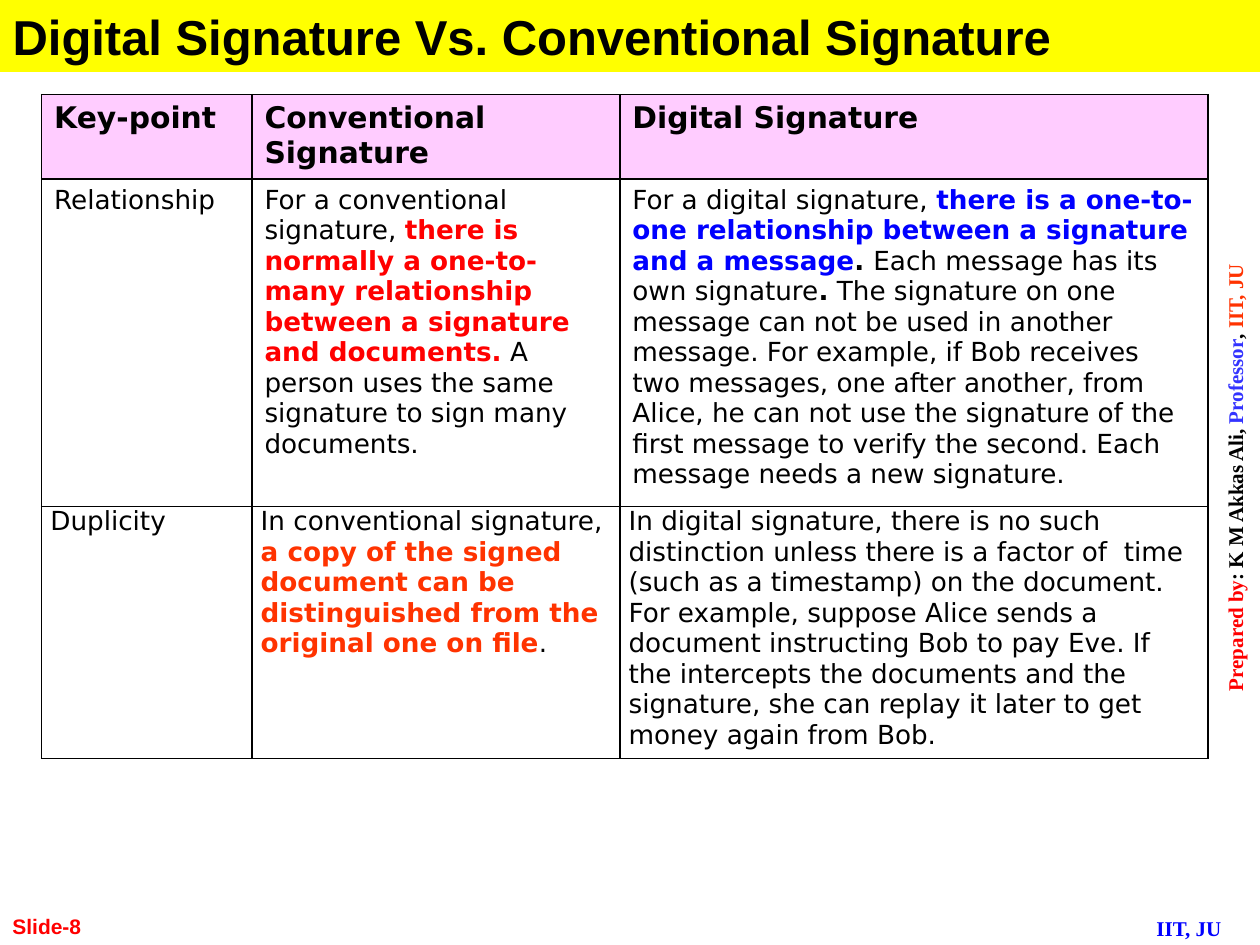
from pptx import Presentation
from pptx.dml.color import RGBColor
from pptx.enum.text import MSO_ANCHOR, MSO_AUTO_SIZE, PP_ALIGN
from pptx.oxml import parse_xml
from pptx.oxml.ns import nsdecls
from pptx.util import Inches, Pt

LEFT, CENTER = PP_ALIGN.LEFT, PP_ALIGN.CENTER
TOP, MIDDLE, BOTTOM = MSO_ANCHOR.TOP, MSO_ANCHOR.MIDDLE, MSO_ANCHOR.BOTTOM
NO_AUTOFIT = MSO_AUTO_SIZE.NONE

SANS, SERIF, TABLE_FONT = "Arial", "Times New Roman", "DejaVu Sans"
BLACK, RED, BLUE, ORANGE = "000000", "FF0000", "0000FF", "FF3300"
YELLOW, PINK, VIOLET = "FFFF00", "FFCCFF", "3333FF"

COL_WIDTHS = [1.67, 2.92, 4.67]
ROW_HEIGHTS = [0.67, 2.6, 2]
ROW_MARGINS = [(0.1, 0.05), (0.1, 0.05), (0.07, 0)]

HEADER = ["Key-point", "Conventional Signature", "Digital Signature"]
BODY = [
    [
        [("Relationship", BLACK, False)],
        [
            ("For a conventional signature, ", BLACK, False),
            ("there is normally a one-to-many relationship between a signature "
             "and documents.", RED, True),
            (" A person uses the same signature to sign many documents.", BLACK, False),
        ],
        [
            ("For a digital signature, ", BLACK, False),
            ("there is a one-to-one relationship between a signature and a message",
             BLUE, True),
            (". ", BLACK, True),
            ("Each message has its own signature", BLACK, False),
            (".", BLACK, True),
            (" The signature on one message can not be used in another message. "
             "For example, if Bob receives two messages, one after another, from "
             "Alice, he can not use the signature of the first message to verify "
             "the second. Each message needs a new signature.", BLACK, False),
        ],
    ],
    [
        [("Duplicity", BLACK, False)],
        [
            ("In conventional signature, ", BLACK, False),
            ("a copy of the signed document can be distinguished from the original "
             "one on file", ORANGE, True),
            (".", BLACK, False),
        ],
        [
            ("In digital signature, there is no such distinction unless there is a "
             "factor of  time (such as a timestamp) on the document. For example, "
             "suppose Alice sends a document instructing Bob to pay Eve. If the "
             "intercepts the documents and the signature, she can replay it later to "
             "get money again from Bob.", BLACK, False),
        ],
    ],
]
CREDIT = [
    ("Prepared by", RED, True),
    (": K M Akkas Ali, ", BLACK, True),
    ("Professor", VIOLET, True),
    (", ", BLACK, True),
    ("IIT, JU", ORANGE, True),
]


def rgb(color):
    return RGBColor.from_string(color)


def write_runs(p, runs, font, size, align=LEFT):
    p.alignment = align
    p.font.name = font
    p.font.size = Pt(size)
    for text, color, bold in runs:
        r = p.add_run()
        r.text = text
        r.font.color.rgb = rgb(color)
        r.font.bold = bold


def add_title(s, text):
    title = s.shapes.title
    title.left, title.top = Inches(0), Inches(0)
    title.width, title.height = Inches(10), Inches(0.57)
    title.fill.solid()
    title.fill.fore_color.rgb = rgb(YELLOW)
    tf = title.text_frame
    tf.auto_size = NO_AUTOFIT
    tf.vertical_anchor = MIDDLE
    write_runs(tf.paragraphs[0], [(text, BLACK, True)], SANS, 28)


def add_label(s, box, runs, font, align=LEFT, anchor=TOP, vert="horz"):
    tf = s.shapes.add_textbox(*map(Inches, box)).text_frame
    tf.word_wrap = True
    tf.vertical_anchor = anchor
    tf._txBody.bodyPr.set("vert", vert)
    write_runs(tf.paragraphs[0], runs, font, 12, align)


def add_borders(cell):
    tc_pr = cell._tc.get_or_add_tcPr()
    for i, side in enumerate(("lnL", "lnR", "lnT", "lnB")):
        tc_pr.insert(i, parse_xml(
            f'<a:{side} {nsdecls("a")} w="{Pt(1)}"><a:solidFill>'
            f'<a:srgbClr val="{BLACK}"/></a:solidFill></a:{side}>'))


def fill_cell(cell, runs, size, margins, fill=None):
    cell.margin_left = cell.margin_right = Inches(margins[0])
    cell.margin_top = cell.margin_bottom = Inches(margins[1])
    if fill:
        cell.fill.solid()
        cell.fill.fore_color.rgb = rgb(fill)
    else:
        cell.fill.background()
    add_borders(cell)
    p = cell.text_frame.paragraphs[0]
    p.space_after = Pt(6)
    write_runs(p, runs, TABLE_FONT, size)


def add_comparison(s):
    rows = [[[(text, BLACK, True)] for text in HEADER]] + BODY
    table = s.shapes.add_table(
        len(rows), len(HEADER), Inches(0.33), Inches(0.75),
        Inches(sum(COL_WIDTHS)), Inches(sum(ROW_HEIGHTS))).table
    table.horz_banding = False
    for column, width in zip(table.columns, COL_WIDTHS):
        column.width = Inches(width)
    for i, row in enumerate(rows):
        table.rows[i].height = Inches(ROW_HEIGHTS[i])
        size, fill = (15, None) if i else (17, PINK)
        for j, runs in enumerate(row):
            fill_cell(table.cell(i, j), runs, size, ROW_MARGINS[i], fill)


def main():
    prs = Presentation()
    prs.slide_width, prs.slide_height = Inches(10), Inches(7.5)
    s = prs.slides.add_slide(prs.slide_layouts[5])
    add_label(s, (9.08, 7.22, 0.92, 0.3), [("IIT, JU", BLUE, True)], SERIF)
    add_label(s, (9.65, 0.33, 0.4, 6.92), CREDIT, SERIF, align=CENTER, vert="vert270")
    add_title(s, "Digital Signature Vs. Conventional Signature")
    add_comparison(s)
    add_label(s, (0, 7, 2.08, 0.5), [("Slide-8", RED, True)], SANS, anchor=BOTTOM)
    prs.save("out.pptx")


if __name__ == "__main__":
    main()
